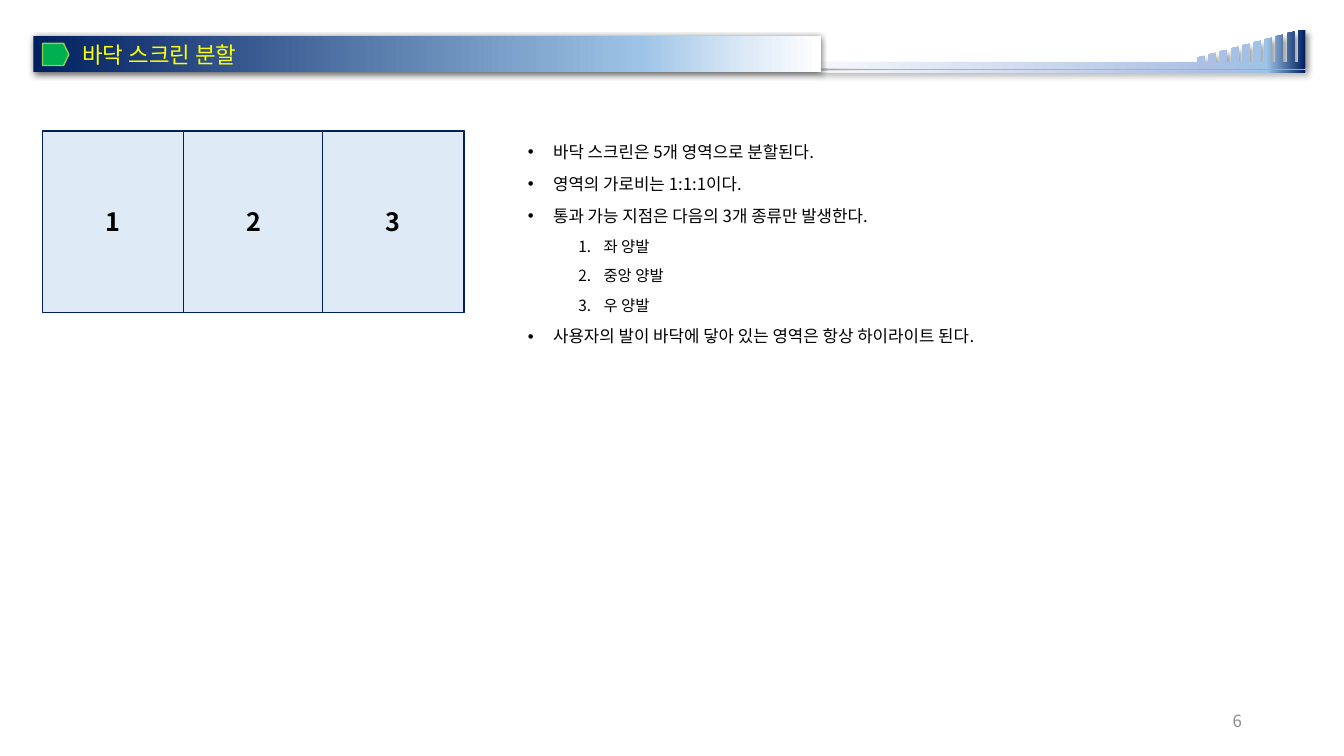
from lxml.etree import SubElement
from pptx import Presentation
from pptx.dml.color import RGBColor
from pptx.enum.shapes import MSO_SHAPE
from pptx.enum.text import MSO_ANCHOR, MSO_AUTO_SIZE, PP_ALIGN
from pptx.oxml.ns import qn
from pptx.util import Pt

# Content
TITLE = "바닥 스크린 분할"
PAGE_NUMBER = "6"
RULES = [
    ("bullet", "바닥 스크린은 5개 영역으로 분할된다."),
    ("bullet", "영역의 가로비는 1:1:1이다."),
    ("bullet", "통과 가능 지점은 다음의 3개 종류만 발생한다."),
    ("number", "좌 양발"),
    ("number", "중앙 양발"),
    ("number", "우 양발"),
    ("bullet", "사용자의 발이 바닥에 닿아 있는 영역은 항상 하이라이트 된다."),
]
# Floor areas from back to front: label, left, width
FLOOR_AREAS = [("2", 31, 301), ("1", 30.5, 100.8), ("3", 230.4, 100.8)]
FLOOR_TOP, FLOOR_HEIGHT = 93.6, 129.6

THEME = {
    "font": "Noto Sans CJK KR",
    "title_size": 16, "area_size": 18, "page_size": 12,
    "bullet_size": 12, "number_size": 11,
    "text": "000000", "title": "FFFF00", "page": "8C8C8C",
    "navy": "002060", "pale": "DEEBF7", "marker": "00B050", "marker_line": "92D050",
    "title_gradient": [(0, "002060"), (77, "9DC3E6"), (91, "DEEBF7"), (100, "FFFFFF")],
    "stripe_gradient": [(0, "F6F8FC"), (80, "ABC0E4"), (92, "9DC3E6"), (100, "002060")],
}
INDENTS = {"bullet": 18, "number": 54}
HANGING = 18


def write(paragraph, text, size, color=THEME["text"], bold=False, align=PP_ALIGN.LEFT):
    paragraph.alignment = align
    run = paragraph.add_run()
    run.text = text
    run.font.size = Pt(size)
    run.font.bold = bold
    run.font.name = THEME["font"]
    run.font.color.rgb = RGBColor.from_string(color)
    SubElement(run.font._element, qn("a:ea"), typeface=THEME["font"])


def set_indent(paragraph, left, first=0):
    properties = paragraph._p.get_or_add_pPr()
    properties.set("marL", str(Pt(left)))
    properties.set("indent", str(Pt(first)))
    return properties


def paint(shape, fill, line=None):
    shape.shadow.inherit = False
    shape.fill.solid()
    shape.fill.fore_color.rgb = RGBColor.from_string(fill)
    if line:
        shape.line.color.rgb = RGBColor.from_string(line)
        shape.line.width = Pt(1)
    else:
        shape.line.fill.background()


def paint_gradient(shape, stops):
    shape.line.fill.background()
    shape.fill.gradient()
    shape.fill.gradient_angle = 0
    stop_list = shape._element.spPr.find(".//" + qn("a:gsLst"))
    for stop in list(stop_list):
        stop_list.remove(stop)
    for position, color in stops:
        stop = SubElement(stop_list, qn("a:gs"), pos=str(position * 1000))
        SubElement(stop, qn("a:srgbClr"), val=color)


def add_shadow(shape, opacity, blur, distance, angle):
    shape.shadow.inherit = False
    effects = shape._element.spPr.find(qn("a:effectLst"))
    shadow = SubElement(effects, qn("a:outerShdw"), blurRad=str(Pt(blur)),
                        dist=str(Pt(distance)), dir=str(angle * 60000),
                        algn="tl", rotWithShape="0")
    color = SubElement(shadow, qn("a:srgbClr"), val="000000")
    SubElement(color, qn("a:alpha"), val=str(opacity * 1000))


def add_shape(slide, kind, left, top, width, height):
    return slide.shapes.add_shape(kind, Pt(left), Pt(top), Pt(width), Pt(height))


def add_text_box(slide, left, top, width, height):
    box = slide.shapes.add_textbox(Pt(left), Pt(top), Pt(width), Pt(height))
    box.text_frame.word_wrap = True
    return box.text_frame


def add_header_stripe(slide):
    left, right, base = 583.92, 932.4, 44.64
    thin_line = [(left, 50.4), (right, 50.4), (right, 51.84), (left, 51.84)]
    stripe = [(right, 48.96), (left, 48.96), (left, base)]
    # Ten rising bars, the last one flush with the right end
    for index in range(10):
        bar_left = 855.4 + 8 * index
        bar_right = bar_left + 5
        bar_top = 41 - 2.16 * index
        stripe += [(bar_left, base), (bar_left, bar_top),
                   (bar_right, max(bar_top - 1, 21.6)), (bar_right, base)]
    outlines = [[(Pt(x), Pt(y)) for x, y in points] for points in (thin_line, stripe)]
    builder = slide.shapes.build_freeform(*outlines[0][0], scale=1.0)
    builder.add_line_segments(outlines[0][1:], close=True)
    builder.move_to(*outlines[1][0])
    builder.add_line_segments(outlines[1][1:], close=True)
    shape = builder.convert_to_shape()
    paint_gradient(shape, THEME["stripe_gradient"])
    add_shadow(shape, opacity=40, blur=4, distance=3, angle=45)


def add_header(slide):
    add_header_stripe(slide)
    bar = add_shape(slide, MSO_SHAPE.RECTANGLE, 23.8, 25.9, 562.3, 25.9)
    paint_gradient(bar, THEME["title_gradient"])
    add_shadow(bar, opacity=63, blur=4.5, distance=1.5, angle=90)
    bar.text_frame.vertical_anchor = MSO_ANCHOR.MIDDLE
    paragraph = bar.text_frame.paragraphs[0]
    set_indent(paragraph, 28)
    write(paragraph, TITLE, THEME["title_size"], color=THEME["title"])
    marker = add_shape(slide, MSO_SHAPE.FLOWCHART_OFFPAGE_CONNECTOR, 31.9, 29.5, 15.8, 18.8)
    marker.rotation = 270
    paint(marker, THEME["marker"], THEME["marker_line"])


def add_page_number(slide):
    frame = add_text_box(slide, 678.2, 500.4, 216, 28.8)
    frame.vertical_anchor = MSO_ANCHOR.MIDDLE
    write(frame.paragraphs[0], PAGE_NUMBER, THEME["page_size"],
          color=THEME["page"], align=PP_ALIGN.RIGHT)


def add_rules(slide):
    frame = add_text_box(slide, 370, 93.6, 514, 157)
    frame.auto_size = MSO_AUTO_SIZE.SHAPE_TO_FIT_TEXT
    for index, (kind, text) in enumerate(RULES):
        paragraph = frame.add_paragraph() if index else frame.paragraphs[0]
        paragraph.line_spacing = 1.3
        paragraph.space_after = Pt(4)
        properties = set_indent(paragraph, INDENTS[kind], -HANGING)
        if kind == "number":
            paragraph.level = 1
            SubElement(properties, qn("a:buFont"), typeface="+mj-lt")
            SubElement(properties, qn("a:buAutoNum"), type="arabicPeriod")
        else:
            SubElement(properties, qn("a:buFont"), typeface="Arial")
            SubElement(properties, qn("a:buChar"), char="•")
        write(paragraph, text, THEME[kind + "_size"])


def add_floor(slide):
    for label, left, width in FLOOR_AREAS:
        area = add_shape(slide, MSO_SHAPE.RECTANGLE, left, FLOOR_TOP, width, FLOOR_HEIGHT)
        paint(area, THEME["pale"], THEME["navy"])
        area.text_frame.vertical_anchor = MSO_ANCHOR.MIDDLE
        write(area.text_frame.paragraphs[0], label, THEME["area_size"],
              bold=True, align=PP_ALIGN.CENTER)


def main():
    presentation = Presentation()
    presentation.slide_width, presentation.slide_height = Pt(960), Pt(540)
    slide = presentation.slides.add_slide(presentation.slide_layouts[6])
    add_header(slide)
    add_page_number(slide)
    add_rules(slide)
    add_floor(slide)
    presentation.save("out.pptx")


if __name__ == "__main__":
    main()
